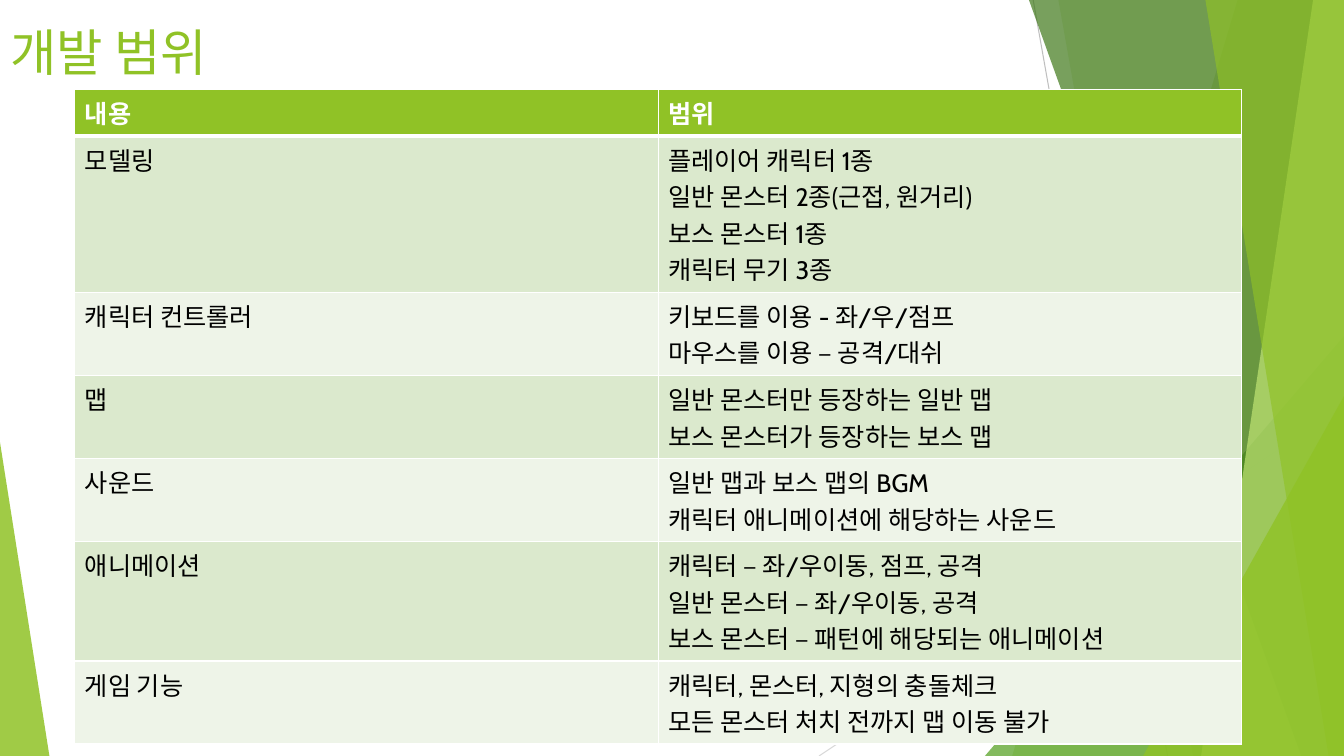
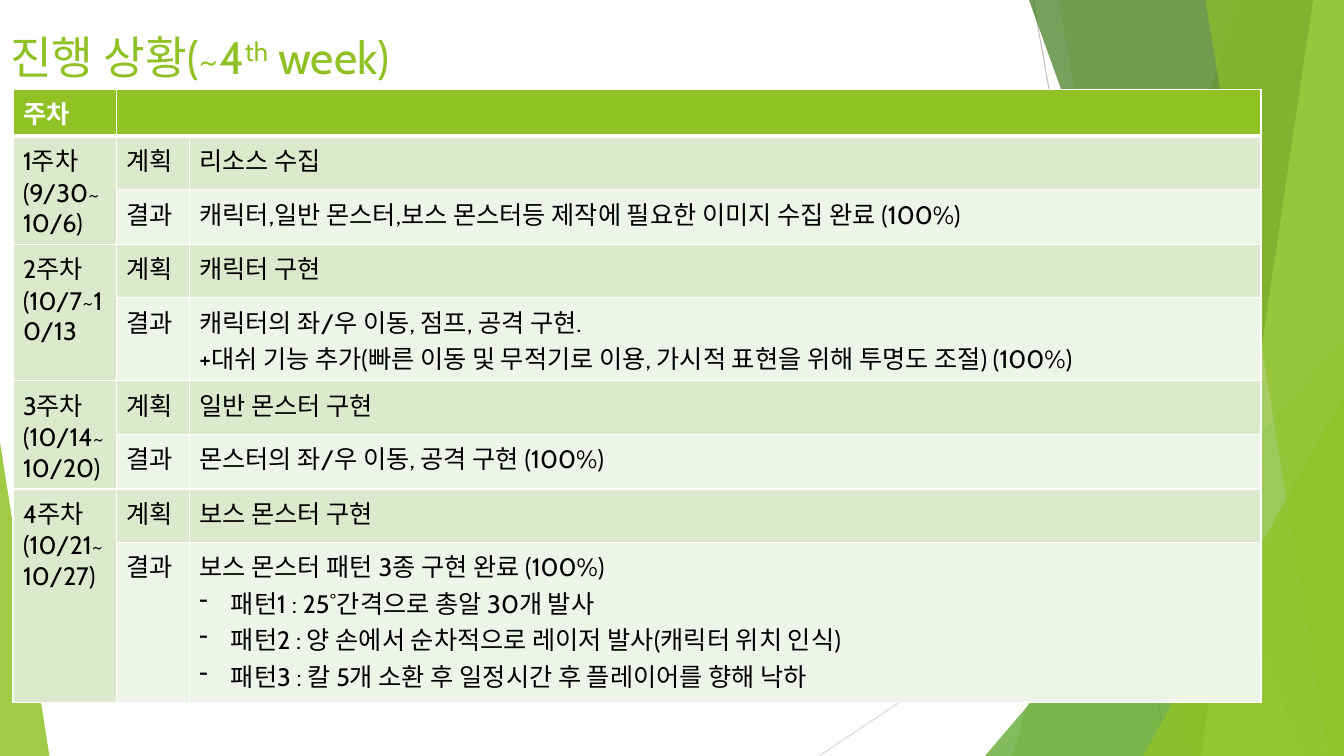
from lxml import etree
from pptx import Presentation
from pptx.dml.color import RGBColor
from pptx.enum import shapes, text
from pptx.oxml import ns
from pptx.util import Pt

W, H = 960, 540
FONT = "Cabin"
COLORS = {
    "green": "90C226", "leaf": "54A021", "forest": "3F7819", "lime": "C0E474",
    "band_dark": "DBE9CD", "band_light": "EEF4E8", "white": "FFFFFF",
    "black": "000000", "line_dark": "BFBFBF", "line_light": "D9D9D9",
}
# Full-height facets on the right edge: top x, bottom x, colour, opacity
FACETS_BACK = [(884, 723, "green", 30), (756, 852, "green", 20)]
FACETS_FRONT = [(735, 929.5, "forest", 70), (938, 858, "lime", 70),
                (861, 949, "green", 65)]

SCOPE = [
    ("내용", "범위"),
    ("모델링", "플레이어 캐릭터 1종\n일반 몬스터 2종(근접, 원거리)\n보스 몬스터 1종\n캐릭터 무기 3종"),
    ("캐릭터 컨트롤러", "키보드를 이용 - 좌/우/점프\n마우스를 이용 – 공격/대쉬"),
    ("맵", "일반 몬스터만 등장하는 일반 맵\n보스 몬스터가 등장하는 보스 맵"),
    ("사운드", "일반 맵과 보스 맵의 BGM\n캐릭터 애니메이션에 해당하는 사운드"),
    ("애니메이션", "캐릭터 – 좌/우이동, 점프, 공격\n일반 몬스터 – 좌/우이동, 공격\n"
              "보스 몬스터 – 패턴에 해당되는 애니메이션"),
    ("게임 기능", "캐릭터, 몬스터, 지형의 충돌체크\n모든 몬스터 처치 전까지 맵 이동 불가"),
]
# Week, plan, result
WEEKS = [
    ("1주차\n(9/30~10/6)", "리소스 수집",
     "캐릭터,일반 몬스터,보스 몬스터등 제작에 필요한 이미지 수집 완료 (100%)"),
    ("2주차\n(10/7~10/13", "캐릭터 구현",
     "캐릭터의 좌/우 이동, 점프, 공격 구현.\n"
     "+대쉬 기능 추가(빠른 이동 및 무적기로 이용, 가시적 표현을 위해 투명도 조절) (100%)"),
    ("3주차\n(10/14~10/20)", "일반 몬스터 구현", "몬스터의 좌/우 이동, 공격 구현 (100%)"),
    ("4주차\n(10/21~10/27)", "보스 몬스터 구현",
     "보스 몬스터 패턴 3종 구현 완료 (100%)\n"
     "- 패턴1 : 25˚간격으로 총알 30개 발사\n"
     "- 패턴2 : 양 손에서 순차적으로 레이저 발사(캐릭터 위치 인식)\n"
     "- 패턴3 : 칼 5개 소환 후 일정시간 후 플레이어를 향해 낙하"),
]


def rgb(name):
    return RGBColor.from_string(COLORS[name])


def add_run(p, content, size=18, color="black", bold=False, baseline=0):
    r = p.add_run()
    r.text = content
    f = r.font
    f.name, f.size, f.bold = FONT, Pt(size), bold
    f.color.rgb = rgb(color)
    if baseline:
        r._r.get_or_add_rPr().set("baseline", str(baseline * 1000))


def add_dash(p):
    pPr = p._p.get_or_add_pPr()
    pPr.set("marL", str(Pt(22.5)))
    pPr.set("indent", str(-Pt(22.5)))
    etree.SubElement(pPr, ns.qn("a:buFontTx"))
    etree.SubElement(pPr, ns.qn("a:buChar")).set("char", "-")


def set_borders(cell, **widths):
    """Draw white borders; the keywords L, R, T and B override the 1 pt width."""
    tcPr = cell._tc.get_or_add_tcPr()
    for i, side in enumerate("LRTB"):
        ln = etree.Element(ns.qn(f"a:ln{side}"), w=str(Pt(widths.get(side, 1))))
        fill = etree.SubElement(ln, ns.qn("a:solidFill"))
        etree.SubElement(fill, ns.qn("a:srgbClr")).set("val", COLORS["white"])
        tcPr.insert(i, ln)


class Deck:
    def __init__(self):
        self.prs = Presentation()
        self.prs.slide_width, self.prs.slide_height = Pt(W), Pt(H)
        self.s = None

    def slide(self):
        self.s = self.prs.slides.add_slide(self.prs.slide_layouts[5])
        self.line(738, 0, 834, H, "line_dark")
        self.line(W, 290, 585, H, "line_light")
        for facet in FACETS_BACK:
            self.facet(*facet)
        self.triangle(703.5, 240, W - 703.5, 1, "leaf", 72)
        for facet in FACETS_FRONT:
            self.facet(*facet)
        self.triangle(816.5, 283, W - 816.5, 1, "green", 80)
        self.triangle(0, 316, 35.3, 0, "green", 85)

    def line(self, x1, y1, x2, y2, color):
        c = self.s.shapes.add_connector(shapes.MSO_CONNECTOR.STRAIGHT,
                                        Pt(x1), Pt(y1), Pt(x2), Pt(y2))
        c.line.color.rgb = rgb(color)
        c.line.width = Pt(0.75)
        etree.SubElement(c._element.spPr, ns.qn("a:effectLst"))

    def paint(self, sp, color, opacity):
        sp.shadow.inherit = False
        sp.line.fill.background()
        sp.fill.solid()
        sp.fill.fore_color.rgb = rgb(color)
        clr = sp._element.spPr.find(".//" + ns.qn("a:srgbClr"))
        etree.SubElement(clr, ns.qn("a:alpha")).set("val", str(opacity * 1000))

    def facet(self, top, bottom, color, opacity):
        """Fill from a slanted left edge to the right edge of the slide."""
        fb = self.s.shapes.build_freeform(Pt(top), 0)
        fb.add_line_segments([(Pt(W), 0), (Pt(W), Pt(H)), (Pt(bottom), Pt(H))])
        self.paint(fb.convert_to_shape(), color, opacity)

    def triangle(self, x, y, w, apex, color, opacity):
        """Stand a triangle on the bottom edge; apex 0 is left, 1 is right."""
        sp = self.s.shapes.add_shape(shapes.MSO_SHAPE.ISOSCELES_TRIANGLE,
                                     Pt(x), Pt(y), Pt(w), Pt(H - y))
        sp.adjustments[0] = apex
        self.paint(sp, color, opacity)

    def title(self, top, size, *runs):
        """Each run is a (text, baseline shift in percent) pair."""
        sp = self.s.shapes.title
        sp.left, sp.top, sp.width, sp.height = 0, Pt(top), Pt(677), Pt(64 - top)
        tf = sp.text_frame
        tf.word_wrap = True
        tf.auto_size = text.MSO_AUTO_SIZE.NONE
        tf.vertical_anchor = text.MSO_ANCHOR.MIDDLE
        p = tf.paragraphs[0]
        p.alignment = text.PP_ALIGN.LEFT
        for content, baseline in runs:
            add_run(p, content, size=size, color="green", baseline=baseline)

    def table(self, left, cols, heights, rows):
        t = self.s.shapes.add_table(len(rows), len(cols), Pt(left), Pt(64),
                                    Pt(sum(cols)), Pt(sum(heights))).table
        for col, w in zip(t.columns, cols):
            col.width = Pt(w)
        for i, (row, h) in enumerate(zip(rows, heights)):
            t.rows[i].height = Pt(h)
            for j, content in enumerate(row):
                self.cell(t.cell(i, j), content, i)
        return t

    def cell(self, cell, content, row):
        header = row == 0
        band = "green" if header else "band_dark" if row % 2 else "band_light"
        cell.fill.solid()
        cell.fill.fore_color.rgb = rgb(band)
        set_borders(cell, **({"B": 3} if header else {"T": 3} if row == 1 else {}))
        tf = cell.text_frame
        for i, line in enumerate(content.split("\n") if content else []):
            p = tf.add_paragraph() if i else tf.paragraphs[0]
            if line.startswith("- "):
                add_dash(p)
            add_run(p, line.removeprefix("- "),
                    color="white" if header else "black", bold=header)


def main():
    d = Deck()

    d.slide()
    d.title(10, 36, ("개발 범위", 0))
    d.table(53.5, [416.75] * 2, [29.5, 70, 49, 49, 46, 36, 36], SCOPE)

    d.slide()
    d.title(17, 32.4, ("진행 상황(~4", 0), ("th", 30), (" week)", 0))
    rows = [("주차", "", "")]
    for week, plan, result in WEEKS:
        rows += [(week, "계획", plan), ("", "결과", result)]
    t = d.table(9.25, [74, 52, 765.5], [26.5] + [38.25] * 7 + [114.5], rows)
    t.cell(0, 1).merge(t.cell(0, 2))
    for i in range(1, len(rows), 2):
        t.cell(i, 0).merge(t.cell(i + 1, 0))

    d.prs.save("out.pptx")


if __name__ == "__main__":
    main()
